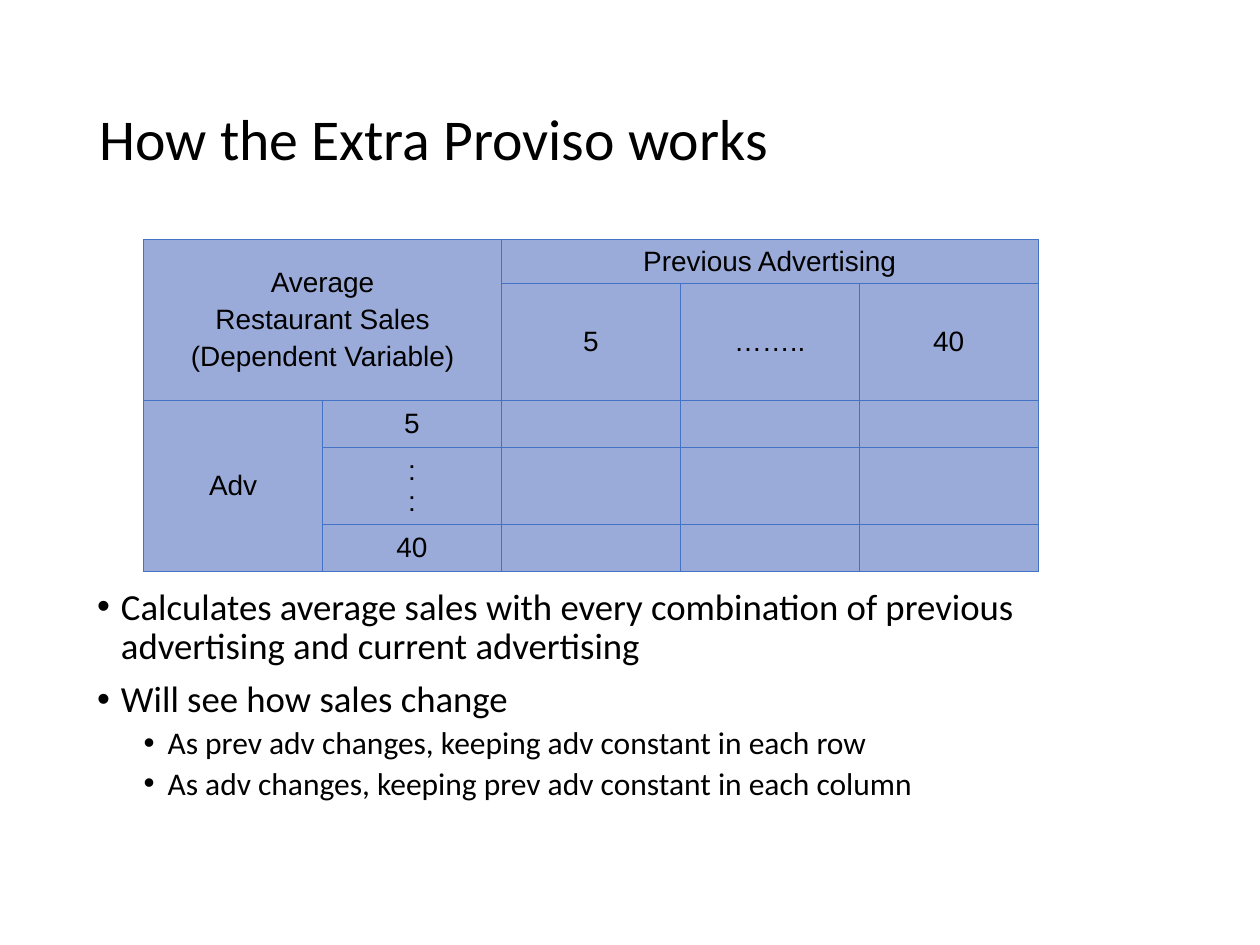
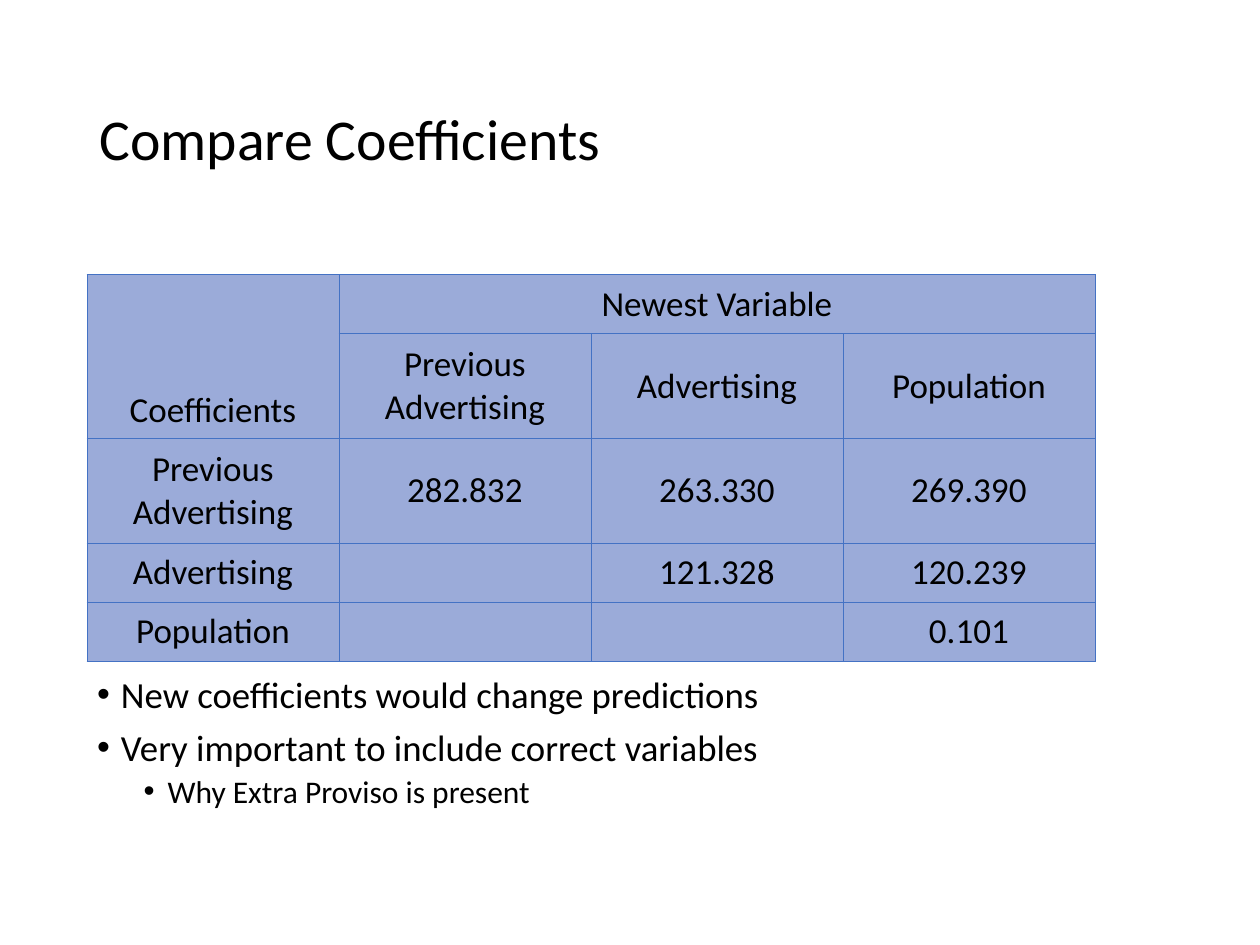
from lxml import etree
from pptx import Presentation
from pptx.dml.color import RGBColor
from pptx.enum.text import MSO_ANCHOR, MSO_AUTO_SIZE, PP_ALIGN
from pptx.oxml.ns import qn
from pptx.util import Inches, Pt

LEFT, CENTER = PP_ALIGN.LEFT, PP_ALIGN.CENTER
MIDDLE, BOTTOM, TOP = MSO_ANCHOR.MIDDLE, MSO_ANCHOR.BOTTOM, MSO_ANCHOR.TOP
NO_AUTOFIT = MSO_AUTO_SIZE.NONE

COLORS = {"text": "000000", "cell": "9BABD9", "border": "4472C4"}
TITLE_BOX = (0.69, 0.4, 8.62, 1.45)
TITLE_SIZE = 33
BORDER_WIDTH = 0.5
CELL_MARGINS = {"margin_left": 0.06, "margin_right": 0.06,
                "margin_top": 0.05, "margin_bottom": 0.05}
# Bullet format by list level
LEVELS = [
    {"size": 21, "space_before": 7.5, "indent": 0.19},
    {"size": 18, "space_before": 3.8, "indent": 0.56},
]
HANGING = 0.19


def color(name):
    return RGBColor.from_string(COLORS[name])


def set_attributes(target, values):
    for name, value in values.items():
        setattr(target, name, value)


def format_font(font, name, size):
    set_attributes(font, {"name": name, "size": Pt(size), "bold": False})
    font.color.rgb = color("text")


def place(shape, box):
    lengths = [Inches(value) for value in box]
    set_attributes(shape, dict(zip(("left", "top", "width", "height"), lengths)))


def add_title(slide, text):
    title = slide.shapes.title
    place(title, TITLE_BOX)
    frame = title.text_frame
    frame.text = text
    set_attributes(frame, {"vertical_anchor": MIDDLE, "auto_size": NO_AUTOFIT})
    paragraph = frame.paragraphs[0]
    set_attributes(paragraph, {"alignment": LEFT, "line_spacing": 0.9})
    format_font(paragraph.runs[0].font, "Calibri", TITLE_SIZE)


def add_bullet(paragraph, indent):
    properties = paragraph._p.get_or_add_pPr()
    properties.set("marL", str(Inches(indent)))
    properties.set("indent", str(-Inches(HANGING)))
    etree.SubElement(properties, qn("a:buFont")).set("typeface", "Arial")
    etree.SubElement(properties, qn("a:buChar")).set("char", "•")


def add_list(slide, box, items):
    """Fill the body placeholder with (level, text) items."""
    body = slide.placeholders[1]
    place(body, box)
    frame = body.text_frame
    frame.text = "\n".join(text for level, text in items)
    set_attributes(frame, {"vertical_anchor": TOP, "auto_size": NO_AUTOFIT})
    for paragraph, (level, text) in zip(frame.paragraphs, items):
        style = LEVELS[level]
        set_attributes(paragraph, {"level": level, "alignment": LEFT, "line_spacing": 0.9,
                                   "space_before": Pt(style["space_before"])})
        add_bullet(paragraph, style["indent"])
        format_font(paragraph.runs[0].font, "Calibri", style["size"])


def add_borders(cell):
    properties = cell._tc.get_or_add_tcPr()
    for side in ("lnL", "lnR", "lnT", "lnB"):
        line = etree.SubElement(properties, qn(f"a:{side}"), w=str(Pt(BORDER_WIDTH)))
        fill = etree.SubElement(line, qn("a:solidFill"))
        etree.SubElement(fill, qn("a:srgbClr"), val=COLORS["border"])


def fill_cell(cell, text, font, size, spaced):
    add_borders(cell)
    cell.fill.solid()
    cell.fill.fore_color.rgb = color("cell")
    set_attributes(cell, {name: Inches(value) for name, value in CELL_MARGINS.items()})
    cell.vertical_anchor = MIDDLE
    cell.text_frame.text = text
    for paragraph in cell.text_frame.paragraphs:
        set_attributes(paragraph, {"alignment": CENTER,
                                   "space_before": Pt(size * 0.2 if spaced else 0)})
        for run in paragraph.runs:
            format_font(run.font, font, size)
        # Keeps empty cells from stretching their row
        if not paragraph.runs:
            etree.SubElement(paragraph._p, qn("a:endParaRPr"), sz=str(size * 100))


def add_table(slide, corner, column_width, row_heights, rows, merges, font, size, tight):
    """Draw rows of text; merges are (first, last) cells, tight texts get no spacing."""
    left, top = corner
    column_count = len(rows[0])
    frame = slide.shapes.add_table(
        len(rows), column_count, Inches(left), Inches(top),
        Inches(column_width * column_count), Inches(sum(row_heights)))
    table = frame.table
    set_attributes(table, {"first_row": False, "horz_banding": False})
    for column in table.columns:
        column.width = Inches(column_width)
    for row, height in zip(table.rows, row_heights):
        row.height = Inches(height)
    for row_index, texts in enumerate(rows):
        for column_index, text in enumerate(texts):
            fill_cell(table.cell(row_index, column_index), text, font, size,
                      text not in tight)
    for first, last in merges:
        table.cell(*first).merge(table.cell(*last))
    return table


def add_content_slide(presentation, title):
    slide = presentation.slides.add_slide(presentation.slide_layouts[1])
    add_title(slide, title)
    return slide


def add_proviso_slide(presentation):
    slide = add_content_slide(presentation, "How the Extra Proviso works")
    rows = [
        ["Average\nRestaurant Sales\n(Dependent Variable)", "", "Previous Advertising", "", ""],
        ["", "", "5", "……..", "40"],
        ["Adv", "5", "", "", ""],
        ["", ":\n:", "", "", ""],
        ["", "40", "", "", ""],
    ]
    merges = [((0, 0), (1, 1)), ((0, 2), (0, 4)), ((2, 0), (4, 0))]
    add_table(slide, (1.14, 1.9), 1.42, [0.35, 0.93, 0.35, 0.61, 0.35],
              rows, merges, "Arial", 16, [":\n:"])
    add_list(slide, (0.67, 4.62, 8.66, 2.42), [
        (0, "Calculates average sales with every combination of previous advertising "
            "and current advertising"),
        (0, "Will see how sales change"),
        (1, "As prev adv changes, keeping adv constant in each row"),
        (1, "As adv changes, keeping prev adv constant in each column"),
    ])


def add_coefficients_slide(presentation):
    slide = add_content_slide(presentation, "Compare Coefficients")
    rows = [
        ["Coefficients", "Newest Variable", "", ""],
        ["", "Previous Advertising", "Advertising", "Population"],
        ["Previous Advertising", "282.832", "263.330", "269.390"],
        ["Advertising", "", "121.328", "120.239"],
        ["Population", "", "", "0.101"],
    ]
    merges = [((0, 0), (1, 0)), ((0, 1), (0, 3))]
    table = add_table(slide, (0.69, 2.18), 2, [0.47, 0.83, 0.83, 0.47, 0.47],
                      rows, merges, "Calibri", 20, ["Newest Variable"])
    table.cell(0, 0).vertical_anchor = BOTTOM
    add_list(slide, (0.67, 5.32, 8.66, 1.95), [
        (0, "New coefficients would change predictions"),
        (0, "Very important to include correct variables"),
        (1, "Why Extra Proviso is present"),
    ])


def main():
    presentation = Presentation()
    set_attributes(presentation, {"slide_width": Inches(10), "slide_height": Inches(7.5)})
    add_proviso_slide(presentation)
    add_coefficients_slide(presentation)
    presentation.save("out.pptx")


if __name__ == "__main__":
    main()
